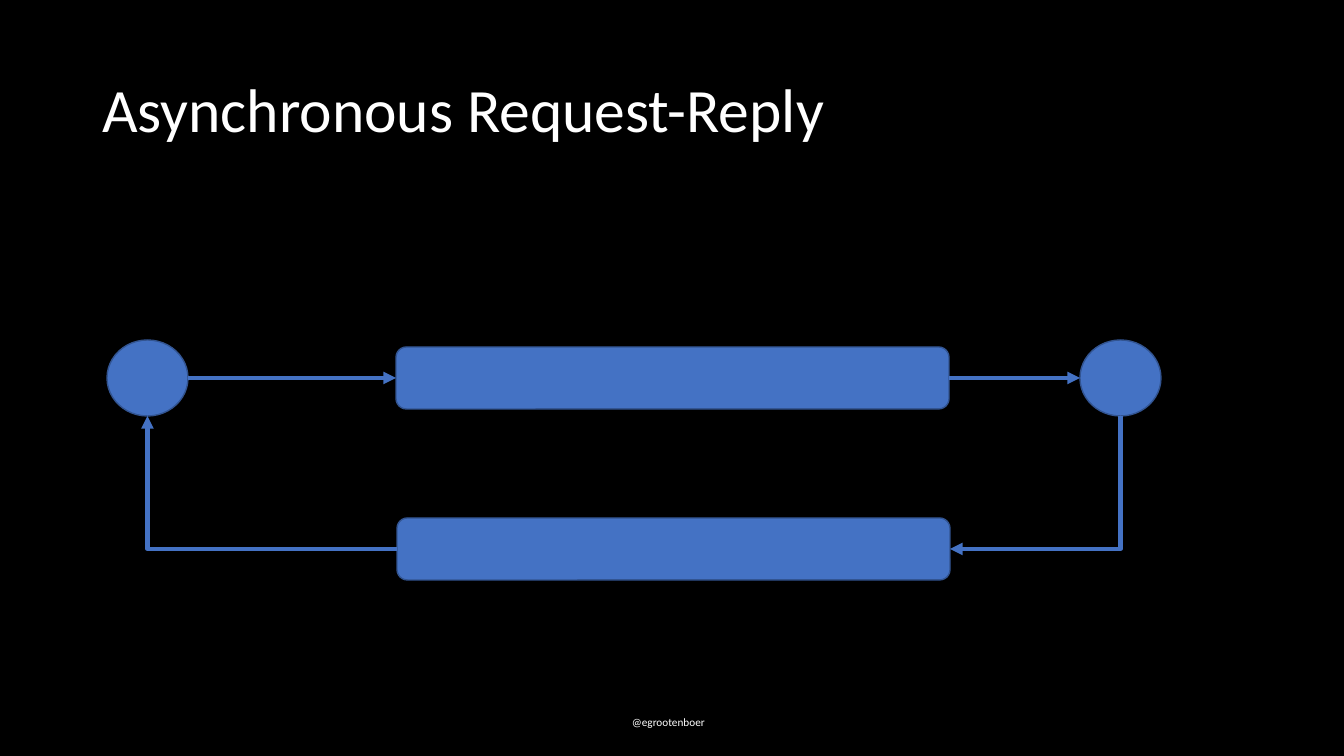
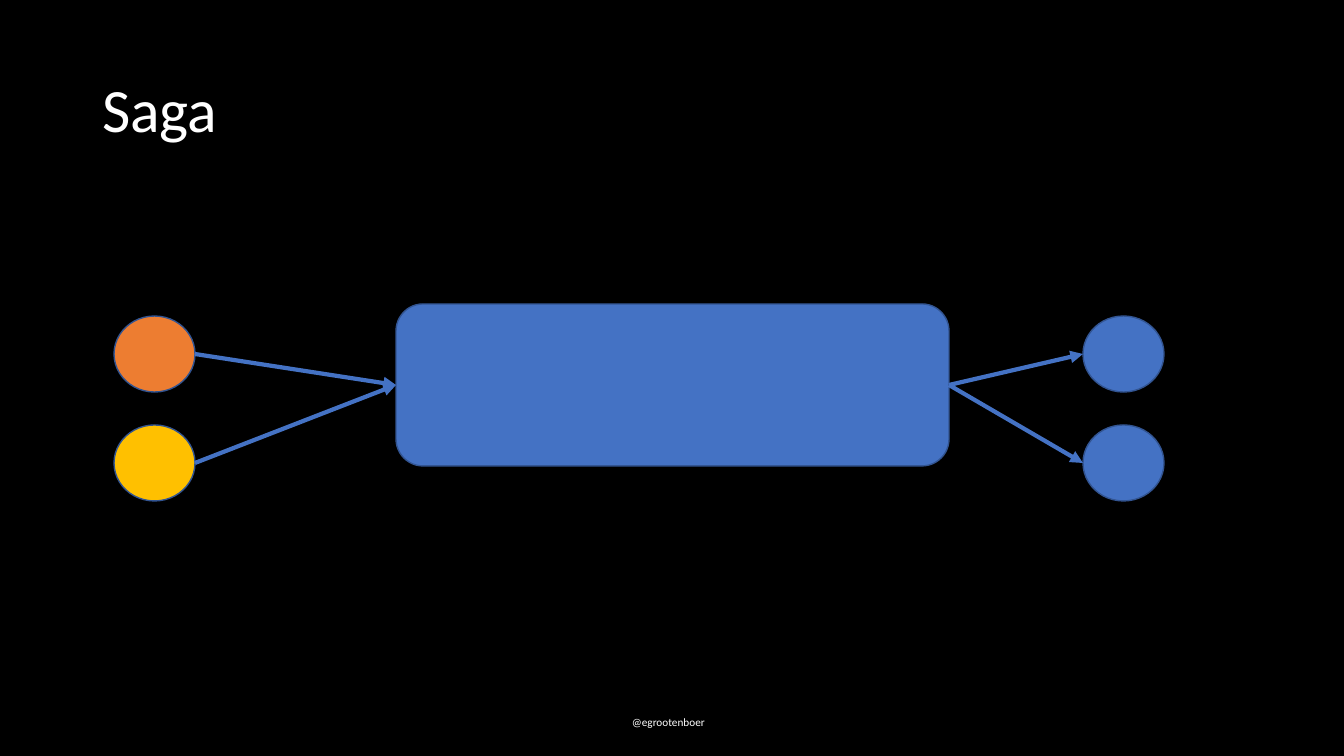
from lxml import etree
from pptx import Presentation
from pptx import util as u
from pptx.dml.color import RGBColor
from pptx.enum import shapes, text
from pptx.oxml.ns import qn

BLACK = RGBColor(0x00, 0x00, 0x00)
WHITE = RGBColor(0xFF, 0xFF, 0xFF)
BLUE = RGBColor(0x44, 0x72, 0xC4)
OUTLINE = RGBColor(0x32, 0x54, 0x91)
ORANGE = RGBColor(0xED, 0x7D, 0x31)
GOLD = RGBColor(0xFF, 0xC0, 0x00)

FONT = "Calibri"
PX_PER_INCH = 100.8
TITLE_ONLY = 5
QUARTER_TURN = 5400000
SIDES = {"top": (0, 0.5, 0), "left": (1, 0, 0.5), "bottom": (2, 0.5, 1), "right": (3, 1, 0.5)}


def px(length):
    return u.Inches(length / PX_PER_INCH)


class Deck:
    def __init__(self):
        self.presentation = Presentation()
        self.presentation.slide_width = px(1344)
        self.presentation.slide_height = px(756)
        self.master = self.presentation.slide_master
        background = self.master.background.fill
        background.solid()
        background.fore_color.rgb = BLACK
        self.slide = None

    def add_slide(self, title):
        layout = self.presentation.slide_layouts[TITLE_ONLY]
        self.slide = self.presentation.slides.add_slide(layout)
        shape = self.slide.shapes.title
        shape.left, shape.top, shape.width, shape.height = px(92), px(40), px(1159), px(146)
        shape.text_frame.vertical_anchor = text.MSO_ANCHOR.MIDDLE
        paragraph = shape.text_frame.paragraphs[0]
        paragraph.alignment = text.PP_ALIGN.LEFT
        paragraph.line_spacing = 0.9
        self.add_run(paragraph, title, 44)

    def add_run(self, paragraph, words, size):
        run = paragraph.add_run()
        run.text = words
        run.font.name = FONT
        run.font.size = u.Pt(size)
        run.font.color.rgb = WHITE

    def master_footer(self, words):
        shape = self.slide.shapes.add_textbox(px(622), px(710), px(100), px(24))
        shape.text_frame.word_wrap = False
        shape.text_frame.auto_size = text.MSO_AUTO_SIZE.SHAPE_TO_FIT_TEXT
        self.add_run(shape.text_frame.paragraphs[0], words, 8)
        self.master.shapes._spTree.append(shape._element)

    def add_figure(self, kind, left, top, width, height, color):
        shape = self.slide.shapes.add_shape(kind, px(left), px(top), px(width), px(height))
        shape.shadow.inherit = False
        shape.fill.solid()
        shape.fill.fore_color.rgb = color
        shape.line.color.rgb = OUTLINE
        shape.line.width = u.Pt(1)
        return shape

    def add_circle(self, left, top, color=BLUE):
        return self.add_figure(shapes.MSO_SHAPE.OVAL, left, top, 81, 76, color)

    def add_box(self, left, top, height):
        return self.add_figure(shapes.MSO_SHAPE.ROUNDED_RECTANGLE, left, top, 553, height, BLUE)

    def add_arrow(self, source, source_side, target, target_side, elbow=False):
        x1, y1 = self.side_point(source, source_side)
        x2, y2 = self.side_point(target, target_side)
        turned = elbow and source_side == "bottom"
        if turned:
            center_x, center_y = (x1 + x2) // 2, (y1 + y2) // 2
            half_width, half_height = (y2 - y1) // 2, (x1 - x2) // 2
            x1, x2 = center_x - half_width, center_x + half_width
            y1, y2 = center_y - half_height, center_y + half_height
        kind = shapes.MSO_CONNECTOR.ELBOW if elbow else shapes.MSO_CONNECTOR.STRAIGHT
        connector = self.slide.shapes.add_connector(kind, x1, y1, x2, y2)
        connector.line.color.rgb = BLUE
        connector.line.width = u.Pt(3)
        properties = connector._element.spPr
        if elbow:
            properties.find(qn("a:prstGeom")).set("prst", "bentConnector2")
        if turned:
            properties.find(qn("a:xfrm")).set("rot", str(QUARTER_TURN))
        etree.SubElement(properties.find(qn("a:ln")), qn("a:tailEnd"), type="triangle")
        etree.SubElement(properties, qn("a:effectLst"))
        self.glue(connector, "a:stCxn", source, source_side)
        self.glue(connector, "a:endCxn", target, target_side)

    def side_point(self, shape, side):
        _, across, down = SIDES[side]
        return int(shape.left + shape.width * across), int(shape.top + shape.height * down)

    def glue(self, connector, tag, shape, side):
        site = SIDES[side][0]
        if shape.auto_shape_type == shapes.MSO_SHAPE.OVAL:
            site *= 2
        holder = connector._element.find(".//" + qn("p:cNvCxnSpPr"))
        etree.SubElement(holder, qn(tag), id=str(shape.shape_id), idx=str(site))


def build_request_reply(deck):
    deck.add_slide("Asynchronous Request-Reply")
    requester = deck.add_circle(107, 340)
    replier = deck.add_circle(1080, 340)
    request_queue = deck.add_box(396, 347, 62)
    reply_queue = deck.add_box(397, 518, 62)
    deck.add_arrow(requester, "right", request_queue, "left")
    deck.add_arrow(request_queue, "right", replier, "left")
    deck.add_arrow(replier, "bottom", reply_queue, "right", elbow=True)
    deck.add_arrow(reply_queue, "left", requester, "bottom", elbow=True)


def build_saga(deck):
    deck.add_slide("Saga")
    saga = deck.add_box(396, 304, 162)
    for top, color in ((316, ORANGE), (425, GOLD)):
        sender = deck.add_circle(114, top, color)
        receiver = deck.add_circle(1083, top)
        deck.add_arrow(sender, "right", saga, "left")
        deck.add_arrow(saga, "right", receiver, "left")


def main():
    deck = Deck()
    build_request_reply(deck)
    deck.master_footer("@egrootenboer")
    build_saga(deck)
    deck.presentation.save("out.pptx")


if __name__ == "__main__":
    main()
